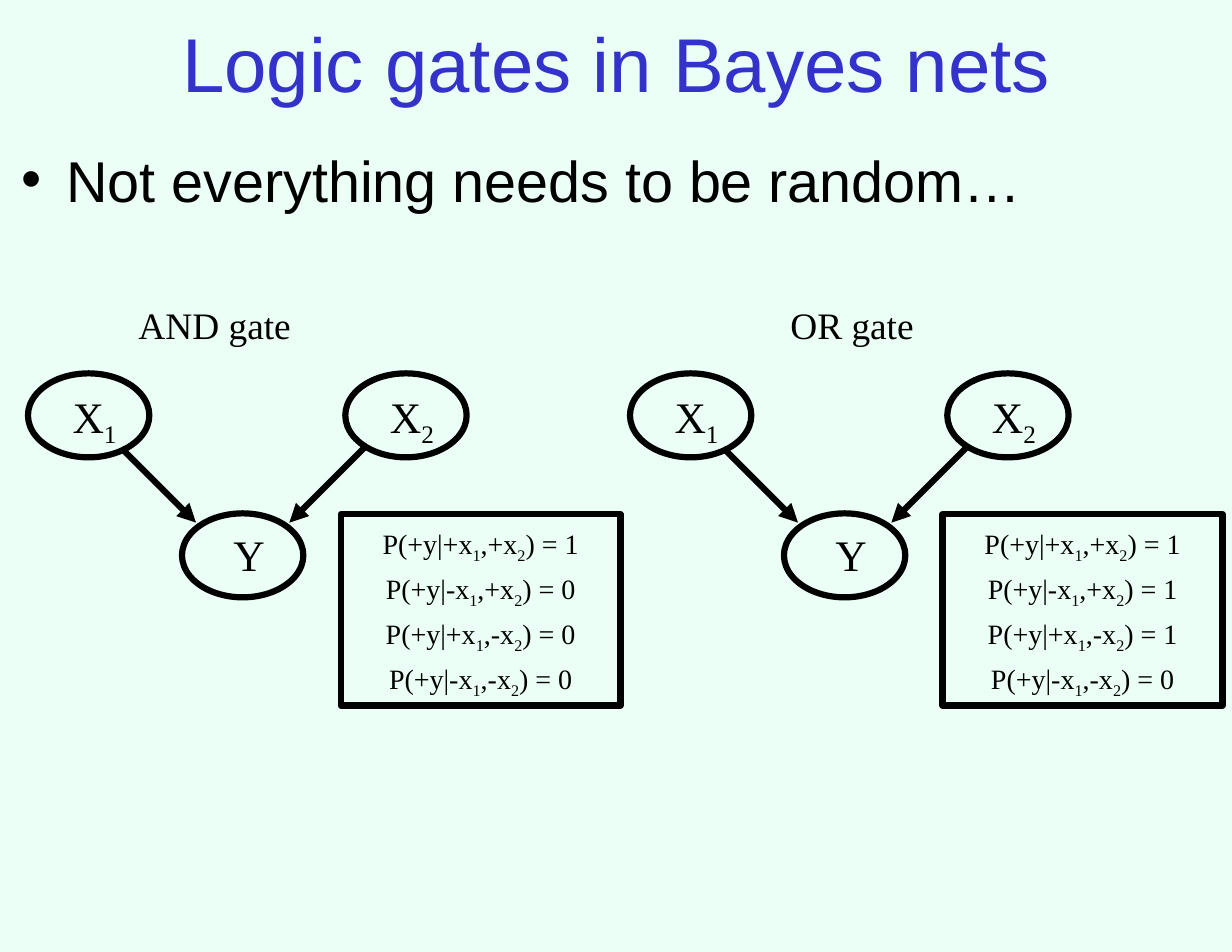
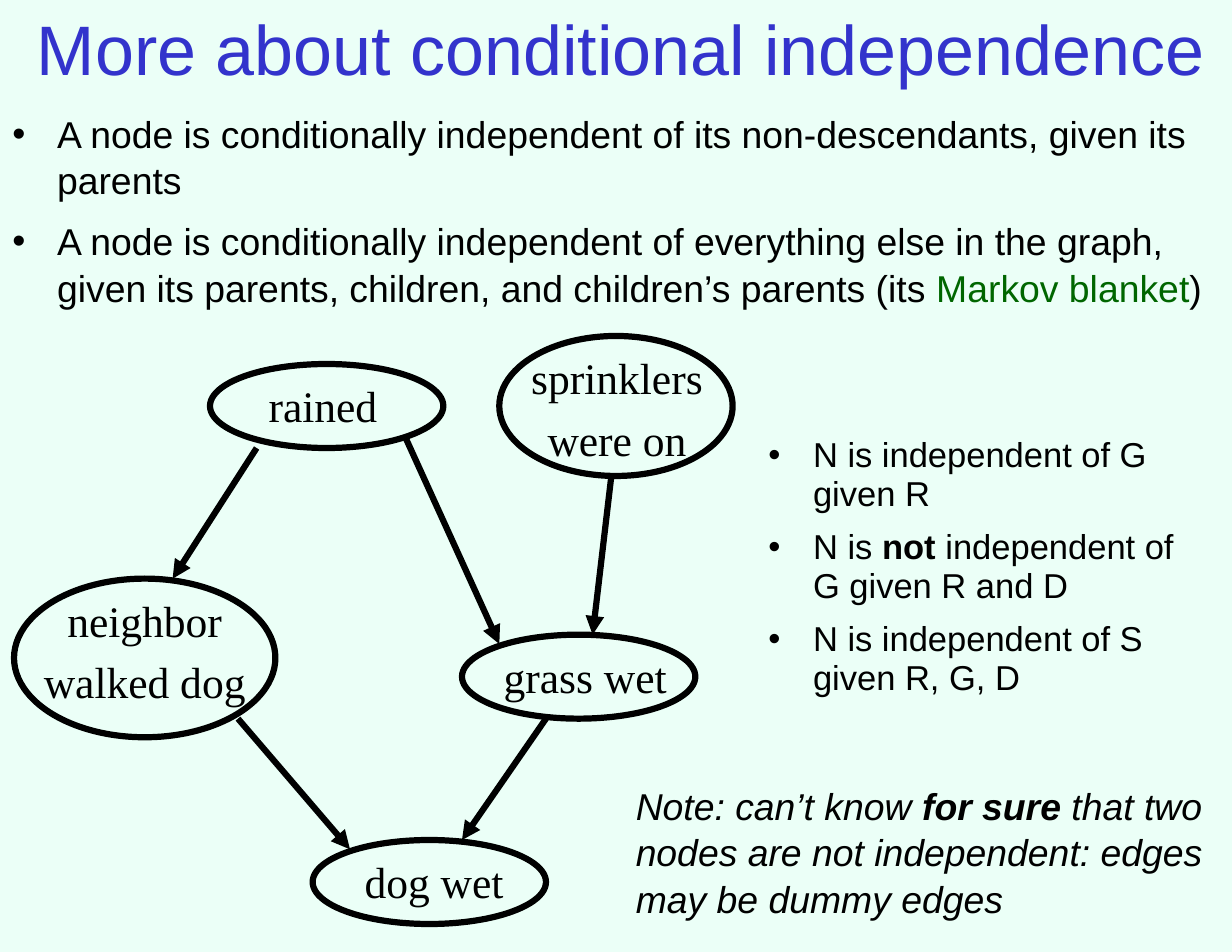
import pptx
import pptx.util
import pptx.dml.color
import pptx.enum.shapes
import pptx.enum.text
import pptx.oxml.ns
from lxml import etree

RGBColor = pptx.dml.color.RGBColor
MINT = RGBColor(0xEB, 0xFF, 0xF7)
BLUE = RGBColor(0x33, 0x33, 0xCC)
GREEN = RGBColor(0x00, 0x66, 0x00)
BLACK = RGBColor(0x00, 0x00, 0x00)
SANS, SERIF = "Arial", "Times New Roman"

WIDTH, HEIGHT = pptx.util.Inches(11), pptx.util.Inches(8.5)
COLUMNS, ROWS = 132, 102
INDENT = pptx.util.Inches(0.4)
STROKE = pptx.util.Pt(4)
SERIF_SPACING, LOOSE, MEDIUM, TIGHT = 1.18, 1.24, 1.04, 0.94
ALIGN = pptx.enum.text.PP_ALIGN
ANCHOR = pptx.enum.text.MSO_ANCHOR
SHAPES = pptx.enum.shapes.MSO_SHAPE
qn = pptx.oxml.ns.qn


def x(column):
    return round(WIDTH * column / COLUMNS)


def y(row):
    return round(HEIGHT * row / ROWS)


def grid(left, top, width, height):
    return x(left), y(top), x(width), y(height)


def add_bullet(paragraph):
    properties = paragraph._p.get_or_add_pPr()
    properties.set("marL", str(INDENT))
    properties.set("indent", str(-INDENT))
    color = etree.SubElement(properties, qn("a:buClr"))
    etree.SubElement(color, qn("a:srgbClr")).set("val", str(BLACK))
    etree.SubElement(properties, qn("a:buFont")).set("typeface", SANS)
    etree.SubElement(properties, qn("a:buChar")).set("char", "•")


def style_run(run, font, size, color, italic, style):
    run.font.name = font
    run.font.size = pptx.util.Pt(size)
    run.font.color.rgb = GREEN if style == "green" else color
    run.font.italic = italic
    run.font.bold = style == "bold"
    if style == "sub":
        run._r.get_or_add_rPr().set("baseline", "-25000")


def write(frame, paragraphs, font, size, spacing, color=BLACK, align=ALIGN.LEFT,
          before=0, bullets=False, italic=False):
    """Fill a frame; a paragraph is a list of (text, style) pairs."""
    for index, parts in enumerate(paragraphs):
        paragraph = frame.add_paragraph() if index else frame.paragraphs[0]
        paragraph.alignment = align
        paragraph.line_spacing = spacing
        paragraph.space_before = pptx.util.Pt(before)
        if bullets:
            add_bullet(paragraph)
        for text, style in parts:
            run = paragraph.add_run()
            run.text = text
            style_run(run, font, size, color, italic, style)


def text_box(slide, box, paragraphs, font, size, spacing, inset=(0.11, 0.06),
             anchor=ANCHOR.TOP, **style):
    frame = slide.shapes.add_textbox(*grid(*box)).text_frame
    frame.word_wrap = True
    frame.vertical_anchor = anchor
    frame.margin_left = frame.margin_right = pptx.util.Inches(inset[0])
    frame.margin_top = frame.margin_bottom = pptx.util.Inches(inset[1])
    write(frame, paragraphs, font, size, spacing, **style)
    return frame


def outline(slide, kind, box):
    shape = slide.shapes.add_shape(kind, *grid(*box))
    shape.shadow.inherit = False
    shape.fill.background()
    shape.line.color.rgb = BLACK
    shape.line.width = STROKE
    return shape


def arrow(slide, start, end):
    line = slide.shapes.add_connector(pptx.enum.shapes.MSO_CONNECTOR.STRAIGHT,
                                      x(start[0]), y(start[1]), x(end[0]), y(end[1]))
    line.line.color.rgb = BLACK
    line.line.width = STROKE
    properties = line._element.spPr
    etree.SubElement(properties.find(qn("a:ln")), qn("a:tailEnd")).set("type", "triangle")
    etree.SubElement(properties, qn("a:effectLst"))


def label(slide, box, parts, size):
    text_box(slide, box, [parts], SERIF, size, SERIF_SPACING,
             inset=(0.1, 0.05), align=ALIGN.CENTER)


def node(slide, box, parts, label_width, shift):
    """Ellipse with a label whose centre lies shift columns right of its own."""
    left, top, width, height = box
    label_left = left + (width - label_width) / 2 + shift
    label(slide, (label_left, top, label_width, height), parts, 28)
    outline(slide, SHAPES.OVAL, box)


def new_slide(deck, title, title_box, title_size):
    slide = deck.slides.add_slide(deck.slide_layouts[6])
    slide.background.fill.solid()
    slide.background.fill.fore_color.rgb = MINT
    text_box(slide, title_box, [[(title, "")]], SANS, title_size, LOOSE, color=BLUE,
             align=ALIGN.CENTER, anchor=ANCHOR.MIDDLE)
    return slide


def bullet_list(slide, box, paragraphs, size, spacing):
    text_box(slide, box, paragraphs, SANS, size, spacing, before=9, bullets=True)


def gate(slide, left, top, name, name_center, outputs):
    """Two inputs, one output and the table of probabilities."""
    for number, column in ((1, 3), (2, 37)):
        node(slide, (left + column, top + 9, 13, 9), [("X", ""), (str(number), "sub")], 13, 0.64)
    node(slide, (left + 19.5, top + 24, 13, 9), [("Y", "")], 13, 0.7)
    for start, end in ((13, 21), (39, 31)):
        arrow(slide, (left + start, top + 17), (left + end, top + 25))

    table = outline(slide, SHAPES.RECTANGLE, (left + 36.5, top + 24.1, 30, 20.5))
    table.text_frame.vertical_anchor = ANCHOR.TOP
    signs = ("++", "-+", "+-", "--")
    rows = [[(f"P(+y|{first}x", ""), ("1", "sub"), (f",{second}x", ""), ("2", "sub"),
             (f") = {output}", "")]
            for (first, second), output in zip(signs, outputs)]
    write(table.text_frame, rows, SERIF, 18, SERIF_SPACING, align=ALIGN.CENTER)
    label(slide, (left + name_center - 12, top - 0.1, 24, 7), [(name, "")], 24)


def network(slide, left, top):
    nodes = (
        ("rained", (22.5, 3, 25, 9), 24, -0.4),
        ("sprinklers were on", (53.5, 0, 25, 15), 27.5, 0.1),
        ("grass wet", (49.5, 32, 25, 9), 25, 0.7),
        ("dog wet", (33.5, 54, 25, 9), 32, 0.5),
        ("neighbor walked dog", (1.5, 26, 28, 17), 32, 0),
    )
    for text, (column, row, width, height), label_width, shift in nodes:
        node(slide, (left + column, top + row, width, height), [(text, "")],
             label_width, shift)
    edges = (
        ((43.5, 11), (53.5, 33)),
        ((65.5, 15), (63.5, 32)),
        ((27.5, 12), (18.5, 26)),
        ((25.5, 41), (37.5, 55)),
        ((58.5, 41), (49.5, 54)),
    )
    for start, end in edges:
        arrow(slide, (left + start[0], top + start[1]), (left + end[0], top + end[1]))


def note(slide, box):
    frame = text_box(slide, box, [[
        ("Note: can’t know ", ""), ("for sure", "bold"),
        (" that two nodes are not independent: edges may be dummy edges", ""),
    ]], SANS, 24, MEDIUM, before=9, italic=True)
    frame.paragraphs[0]._p.get_or_add_pPr().set("marL", str(INDENT))


def logic_gates(deck):
    slide = new_slide(deck, "Logic gates in Bayes nets", (0, 1, 132, 9), 49)
    bullet_list(slide, (1, 13, 131, 89), [[("Not everything needs to be random…", "")]], 37, LOOSE)
    gate(slide, 0, 31, "AND gate", 23, (1, 0, 0, 0))
    gate(slide, 64.5, 31, "OR gate", 26.8, (1, 1, 1, 0))


def conditional_independence(deck):
    slide = new_slide(deck, "More about conditional independence", (-1, 0, 135, 8), 45)
    bullet_list(slide, (0, 11, 132, 30), [
        [("A node is conditionally independent of its non-descendants, given its parents", "")],
        [("A node is conditionally independent of everything else in the graph, given its "
          "parents, children, and children’s parents (its ", ""),
         ("Markov blanket", "green"), (")", "")],
    ], 24, MEDIUM)
    network(slide, 0, 36)
    bullet_list(slide, (81, 46, 47, 30), [
        [("N is independent of G given R", "")],
        [("N is ", ""), ("not", "bold"), (" independent of G given R and D", "")],
        [("N is independent of S given R, G, D", "")],
    ], 22.2, TIGHT)
    note(slide, (62, 83, 70, 19))


def main():
    deck = pptx.Presentation()
    deck.slide_width, deck.slide_height = WIDTH, HEIGHT
    logic_gates(deck)
    conditional_independence(deck)
    deck.save("out.pptx")


if __name__ == "__main__":
    main()
